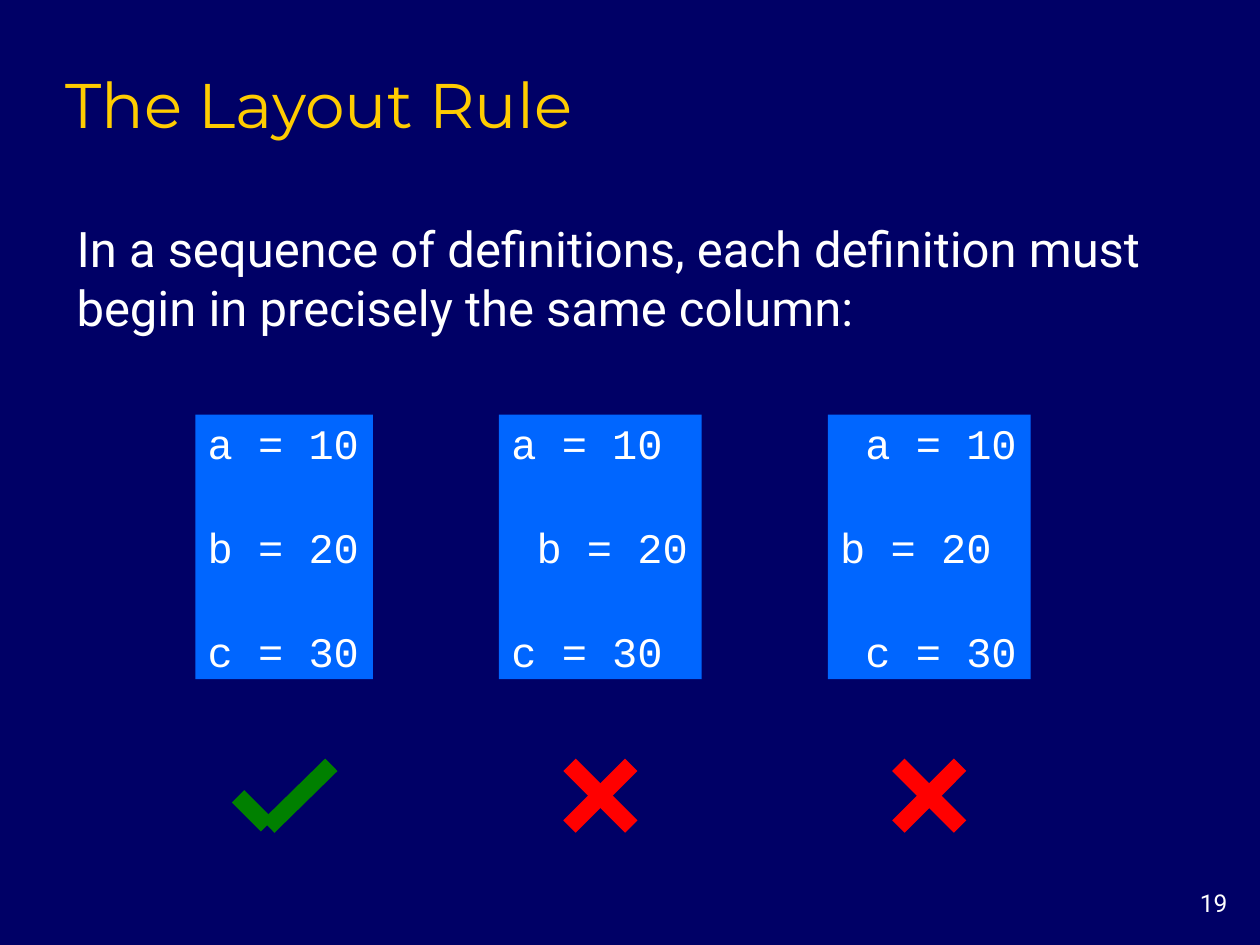
import pptx
import pptx.dml.color
import pptx.enum.shapes
import pptx.enum.text
import pptx.oxml.ns
import pptx.util
import lxml.etree
from dataclasses import dataclass

ALIGN = pptx.enum.text.PP_ALIGN
ANCHOR = pptx.enum.text.MSO_ANCHOR


@dataclass(frozen=True)
class Theme:
    background: str = "000066"
    title: str = "FFCC00"
    text: str = "FFFFFF"
    code_fill: str = "0066FF"
    right: str = "008000"
    wrong: str = "FF0000"
    title_font: str = "Montserrat"
    body_font: str = "Roboto"
    code_font: str = "Courier New"
    title_size: int = 36
    body_size: int = 28
    code_size: int = 24
    number_size: int = 14
    code_gap: float = 30.5
    stroke_width: int = 10


class SlideBuilder:
    columns, rows = 40, 30

    def __init__(self, presentation, theme):
        self.theme = theme
        self.cell_width = presentation.slide_width / self.columns
        self.cell_height = presentation.slide_height / self.rows
        self.slide = presentation.slides.add_slide(presentation.slide_layouts[6])
        fill = self.slide.background.fill
        fill.solid()
        fill.fore_color.rgb = self.color(theme.background)

    def color(self, value):
        return pptx.dml.color.RGBColor.from_string(value)

    def place(self, *lengths):
        cells = (self.cell_width, self.cell_height) * 2
        return [round(length * cell) for length, cell in zip(lengths, cells)]

    def set_text(self, shape, lines, font, size, color, anchor, align=ALIGN.LEFT, wrap=True, gap=0):
        frame = shape.text_frame
        frame.text = "\n".join(lines)
        frame.word_wrap = wrap
        frame.vertical_anchor = anchor
        for index, paragraph in enumerate(frame.paragraphs):
            paragraph.alignment = align
            paragraph.space_before = pptx.util.Pt(gap if index else 0)
            for run in paragraph.runs:
                run.font.name = font
                run.font.size = pptx.util.Pt(size)
                run.font.color.rgb = self.color(color)

    def text(self, box, line, *style, **layout):
        shape = self.slide.shapes.add_textbox(*self.place(*box))
        self.set_text(shape, [line], *style, **layout)

    def code(self, center, top, width, height, lines):
        theme = self.theme
        shape = self.slide.shapes.add_shape(
            pptx.enum.shapes.MSO_SHAPE.RECTANGLE,
            *self.place(center - width / 2, top, width, height))
        shape.shadow.inherit = False
        shape.fill.solid()
        shape.fill.fore_color.rgb = self.color(theme.code_fill)
        shape.line.fill.background()
        self.set_text(shape, lines, theme.code_font, theme.code_size, theme.text,
                      ANCHOR.MIDDLE, wrap=False, gap=theme.code_gap)

    def mark(self, center, middle, strokes, color):
        for x1, y1, x2, y2 in strokes:
            line = self.slide.shapes.add_connector(
                pptx.enum.shapes.MSO_CONNECTOR.STRAIGHT,
                *self.place(center + x1, middle + y1, center + x2, middle + y2))
            line.line.color.rgb = self.color(color)
            line.line.width = pptx.util.Pt(self.theme.stroke_width)
            lxml.etree.SubElement(line._element.spPr, pptx.oxml.ns.qn("a:effectLst"))


presentation = pptx.Presentation()
presentation.slide_width = pptx.util.Inches(10)
presentation.slide_height = pptx.util.Inches(7.5)
theme = Theme()
builder = SlideBuilder(presentation, theme)

builder.text((1.68, 1.68, 34, 3), "The Layout Rule",
             theme.title_font, theme.title_size, theme.title, ANCHOR.BOTTOM)
builder.text((2.04, 6.76, 36.12, 4.12),
             "In a sequence of definitions, each definition must begin in precisely the same column:",
             theme.body_font, theme.body_size, theme.text, ANCHOR.MIDDLE)
builder.text((36.68, 28, 2.68, 1.32), "19",
             theme.body_font, theme.number_size, theme.text, ANCHOR.TOP, align=ALIGN.RIGHT)

check = [(1.5, -0.98, -0.5, 0.98), (-1.46, 0.02, -0.54, 0.94)]
cross = [(-0.98, -0.98, 0.98, 0.98), (0.98, -0.98, -0.98, 0.98)]
examples = [
    (9.02, 5.64, ["a = 10", "b = 20", "c = 30"], check, theme.right),
    (19.06, 6.44, ["a = 10", " b = 20", "c = 30"], cross, theme.wrong),
    (29.5, 6.44, [" a = 10", "b = 20", " c = 30"], cross, theme.wrong),
]
for center, width, lines, strokes, color in examples:
    builder.code(center, 13.16, width, 8.4, lines)
    builder.mark(center, 25.26, strokes, color)

presentation.save("out.pptx")
